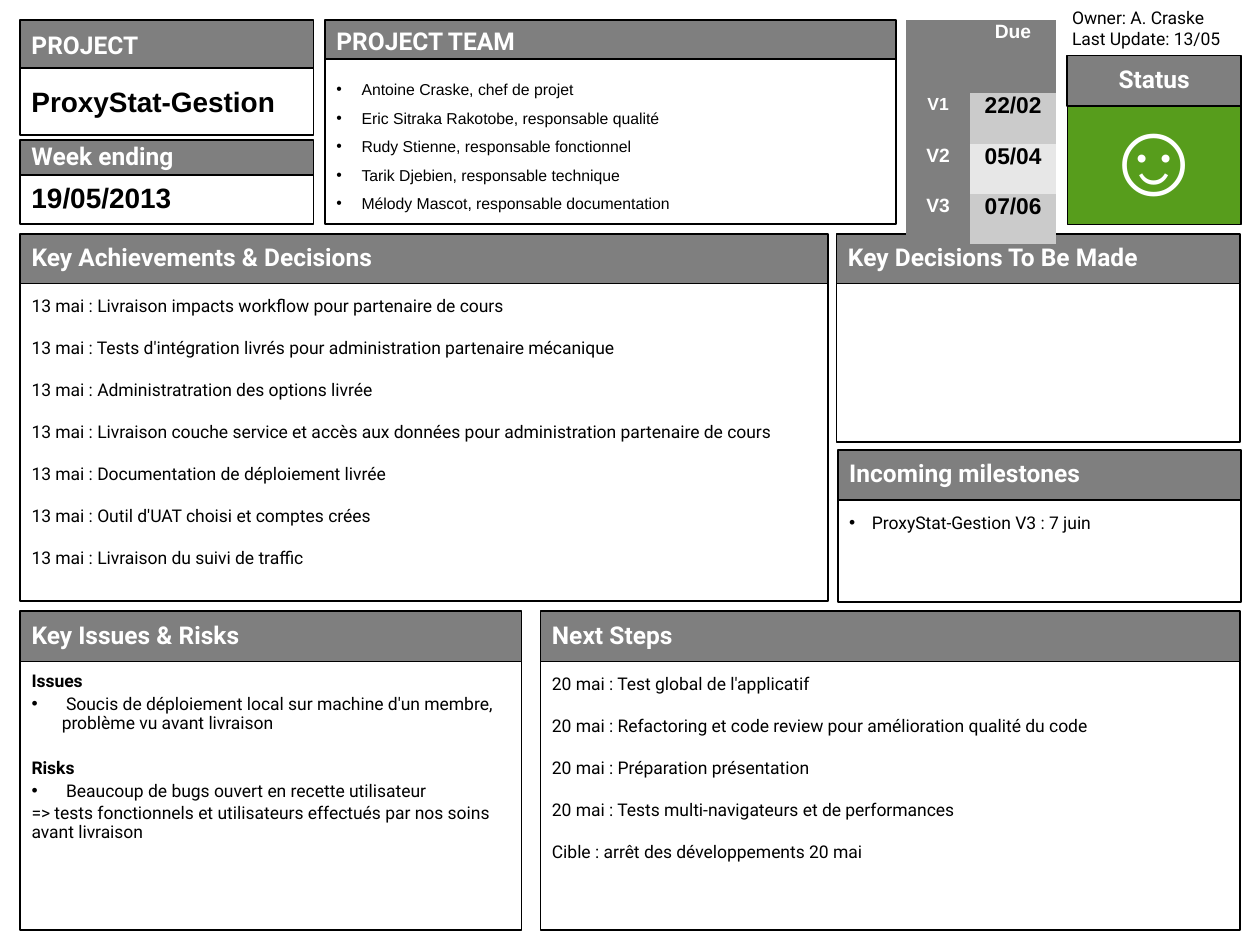
from lxml.etree import SubElement
from pptx import Presentation
from pptx.dml.color import RGBColor
from pptx.enum.shapes import MSO_SHAPE
from pptx.enum.text import MSO_ANCHOR, PP_ALIGN
from pptx.oxml.ns import qn
from pptx.util import Inches, Pt

BLACK = RGBColor(0x00, 0x00, 0x00)
WHITE = RGBColor(0xFF, 0xFF, 0xFF)
GRAY = RGBColor(0x7F, 0x7F, 0x7F)
GREEN = RGBColor(0x57, 0x9D, 0x1C)
DARK_BAND = RGBColor(0xCB, 0xCB, 0xCB)
LIGHT_BAND = RGBColor(0xE7, 0xE7, 0xE7)


def write(frame, lines, size, font="Roboto", color=BLACK, bold=False,
          spacing=1.0, after=0, align=PP_ALIGN.LEFT):
    """Fill a text frame with one paragraph per line."""
    frame.text = "\n".join(lines)
    for paragraph in frame.paragraphs:
        paragraph.alignment = align
        paragraph.line_spacing = spacing
        paragraph.space_after = Pt(after)
        for run in paragraph.runs:
            run.font.size = Pt(size)
            run.font.name = font
            run.font.bold = bold
            run.font.color.rgb = color


def add_bullet(paragraph, indent):
    properties = paragraph._p.get_or_add_pPr()
    properties.set("marL", str(Inches(indent)))
    properties.set("indent", str(-Inches(indent)))
    SubElement(properties, qn("a:buFont"), typeface="Arial")
    SubElement(properties, qn("a:buChar"), char="•")


prs = Presentation()
prs.slide_width, prs.slide_height = Inches(10), Inches(7.5)
slide = prs.slides.add_slide(prs.slide_layouts[6])

# Panels: title, left, top, width, header height, body height
panels = [
    ("Week ending", 0.16, 1.11, 2.33, 0.28, 0.39),
    ("PROJECT", 0.16, 0.16, 2.33, 0.38, 0.53),
    ("PROJECT TEAM", 2.58, 0.16, 4.53, 0.31, 1.31),
    ("Key Issues & Risks", 0.16, 4.85, 3.98, 0.4, 2.13),
    ("Status", 8.47, 0.44, 1.38, 0.4, 0.94),
    ("Key Achievements & Decisions", 0.16, 1.86, 6.41, 0.39, 2.52),
    ("Key Decisions To Be Made", 6.64, 1.86, 3.2, 0.39, 1.26),
    ("Next Steps", 4.29, 4.85, 5.55, 0.4, 2.13),
    ("Incoming milestones", 6.65, 3.57, 3.2, 0.4, 0.81),
]
bodies = {}
for title, left, top, width, header_height, body_height in panels:
    parts = [(top + header_height, body_height, WHITE), (top, header_height, GRAY)]
    for part_top, height, fill in parts:
        box = slide.shapes.add_shape(MSO_SHAPE.RECTANGLE, Inches(left), Inches(part_top),
                                     Inches(width), Inches(height))
        box.shadow.inherit = False
        box.fill.solid()
        box.fill.fore_color.rgb = fill
        box.line.color.rgb = BLACK
        box.line.width = Pt(1)
        frame = box.text_frame
        frame.word_wrap = True
        frame.margin_left = frame.margin_right = Inches(0.09)
        frame.margin_top = frame.margin_bottom = Inches(0.05)
        if fill == WHITE:
            frame.vertical_anchor = MSO_ANCHOR.TOP
            frame.margin_top = Inches(0.09)
            bodies[title] = box
        else:
            frame.vertical_anchor = MSO_ANCHOR.MIDDLE
            if title.startswith("PROJECT"):
                frame.margin_top = Inches(0.09)
            write(frame, [title], 14, color=WHITE, bold=True, spacing=0.9,
                  align=PP_ALIGN.CENTER if title == "Status" else PP_ALIGN.LEFT)

# Project name and week
for title, value, spacing in [("PROJECT", "ProxyStat-Gestion", 1.0),
                              ("Week ending", "19/05/2013", 0.9)]:
    frame = bodies[title].text_frame
    frame.vertical_anchor = MSO_ANCHOR.MIDDLE
    frame.margin_top = Inches(0.05)
    write(frame, [value], 16, font="Arial", bold=True, spacing=spacing)

# Project team
team = bodies["PROJECT TEAM"].text_frame
write(team, [
    "Antoine Craske, chef de projet",
    "Eric Sitraka Rakotobe, responsable qualité",
    "Rudy Stienne, responsable fonctionnel",
    "Tarik Djebien, responsable technique",
    "Mélody Mascot, responsable documentation",
], 9, font="Arial", spacing=1.5)
for member in team.paragraphs:
    add_bullet(member, 0.2)

# Achievements, next steps and milestones
write(bodies["Key Achievements & Decisions"].text_frame, [
    "13 mai : Livraison impacts workflow pour partenaire de cours",
    "13 mai : Tests d'intégration livrés pour administration partenaire mécanique",
    "13 mai : Administratration des options livrée",
    "13 mai : Livraison couche service et accès aux données pour administration partenaire de cours",
    "13 mai : Documentation de déploiement livrée",
    "13 mai : Outil d'UAT choisi et comptes crées",
    "13 mai : Livraison du suivi de traffic",
], 10, after=12)
write(bodies["Next Steps"].text_frame, [
    "20 mai : Test global de l'applicatif",
    "20 mai : Refactoring et code review pour amélioration qualité du code",
    "20 mai : Préparation présentation",
    "20 mai : Tests multi-navigateurs et de performances",
    "Cible : arrêt des développements 20 mai",
], 10, after=12)
milestones = bodies["Incoming milestones"].text_frame
write(milestones, ["ProxyStat-Gestion V3 : 7 juin"], 10)
add_bullet(milestones.paragraphs[0], 0.18)

# Issues and risks
issues = bodies["Key Issues & Risks"].text_frame
write(issues, [
    "Issues",
    " Soucis de déploiement local sur machine d'un membre, problème vu avant livraison",
    "Risks",
    " Beaucoup de bugs ouvert en recette utilisateur",
    "=> tests fonctionnels et utilisateurs effectués par nos soins avant livraison",
], 10, spacing=0.9)
for paragraph in issues.paragraphs:
    paragraph.space_before = Pt(15 if paragraph.text == "Risks" else 2)
    if paragraph.text in ("Issues", "Risks"):
        paragraph.runs[0].font.bold = True
    elif paragraph.text.startswith(" "):
        add_bullet(paragraph, 0.24)

# Status light
status = bodies["Status"]
status.fill.fore_color.rgb = GREEN
status.line.width = Pt(0.75)
mood = status.text_frame
mood.vertical_anchor = MSO_ANCHOR.MIDDLE
mood.margin_top = Inches(0.05)
write(mood, ["☺"], 60, font="Arial", color=WHITE, spacing=0.8, align=PP_ALIGN.CENTER)
mood.paragraphs[0].space_before = Pt(15)

# Owner and update date
owner = slide.shapes.add_textbox(Inches(8.41), Inches(0.01), Inches(1.42), Inches(0.44))
owner.text_frame.word_wrap = False
write(owner.text_frame, ["Owner: A. Craske", "Last Update: 13/05"], 10)

# Due dates
due_rows = [("", "Due", GRAY), ("V1", "22/02", DARK_BAND),
            ("V2", "05/04", LIGHT_BAND), ("V3", "07/06", DARK_BAND)]
due_dates = slide.shapes.add_table(4, 2, Inches(7.19), Inches(0.16),
                                   Inches(1.19), Inches(1.78)).table
for column, width in zip(due_dates.columns, (0.51, 0.68)):
    column.width = Inches(width)
for i, (version, due, band) in enumerate(due_rows):
    due_dates.rows[i].height = Inches(0.4 if i else 0.58)
    version_size = 10 if version == "V1" else 11
    due_size, due_color = (13, BLACK) if i else (11, WHITE)
    cells = [(version, version_size, WHITE, GRAY, 0.04),
             (due, due_size, due_color, band, 0.11)]
    for j, (text, size, color, fill, margin) in enumerate(cells):
        cell = due_dates.cell(i, j)
        cell.fill.solid()
        cell.fill.fore_color.rgb = fill
        cell.margin_left = cell.margin_right = Inches(margin)
        write(cell.text_frame, [text], size, font="Arial", color=color, bold=True,
              spacing=0.71, align=PP_ALIGN.CENTER)
# The style's white grid gives way to plain fills
due_dates._tbl.tblPr.find(qn("a:tableStyleId")).text = "{2D5ABB26-0587-4C30-8999-92F81FD0307C}"

prs.save("out.pptx")
